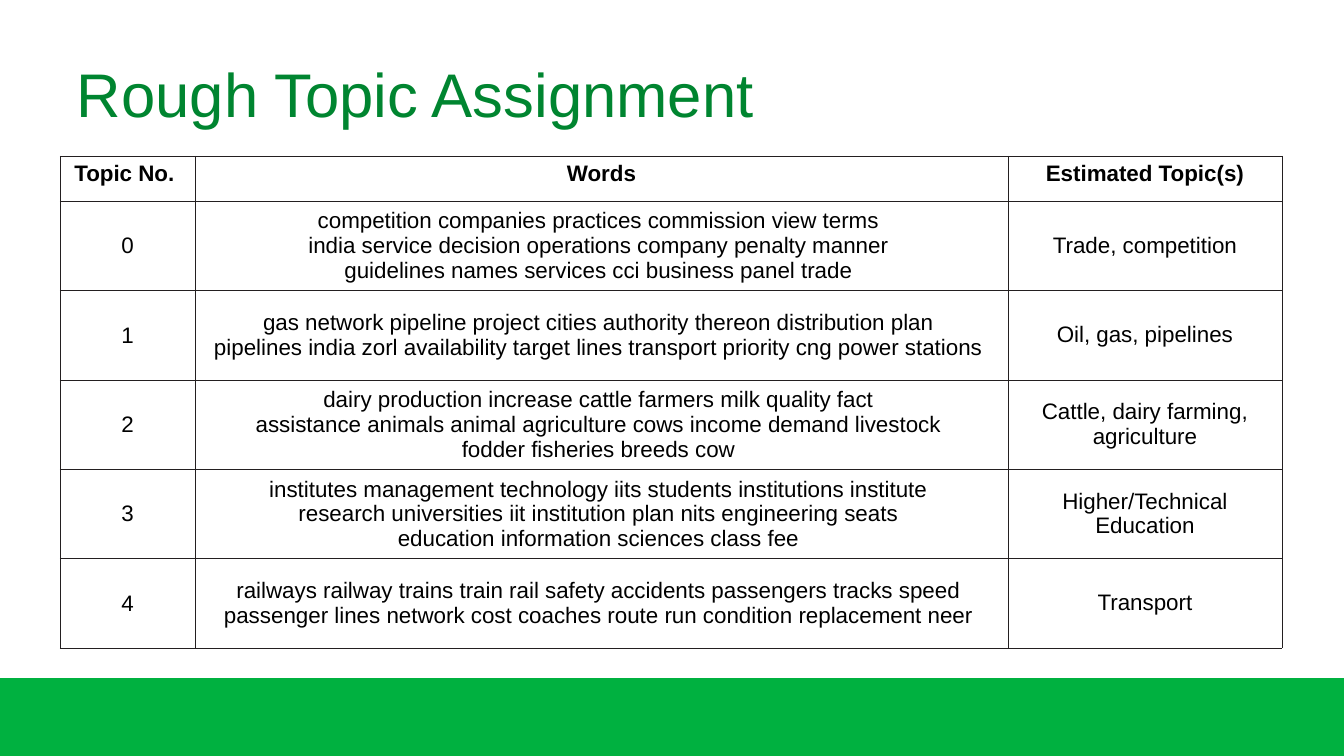
from lxml.etree import SubElement
from pptx import Presentation
from pptx.dml.color import RGBColor
from pptx.enum.shapes import MSO_SHAPE
from pptx.enum.text import MSO_ANCHOR, PP_ALIGN
from pptx.oxml.ns import qn
from pptx.util import Pt

SCALE = 914400 / 100.8
HEADS = ["Topic No. ", "Words", "Estimated Topic(s)"]
TOPICS = [
    (["competition companies practices commission view terms ",
      "india service decision operations company penalty manner ",
      "guidelines names services cci business panel trade "],
     "Trade, competition"),
    (["gas network pipeline project cities authority thereon distribution plan ",
      "pipelines india zorl availability target lines transport priority cng power stations "],
     "Oil, gas, pipelines"),
    (["dairy production increase cattle farmers milk quality fact ",
      "assistance animals animal agriculture cows income demand livestock ",
      "fodder fisheries breeds cow "],
     "Cattle, dairy farming, agriculture"),
    (["institutes management technology iits students institutions institute ",
      "research universities iit institution plan nits engineering seats ",
      "education information sciences class fee "],
     "Higher/Technical Education"),
    (["railways railway trains train rail safety accidents passengers tracks speed ",
      "passenger lines network cost coaches route run condition replacement neer "],
     "Transport"),
]


def px(count):
    return round(count * SCALE)


def box(*sides):
    return [px(side) for side in sides]


def color(code):
    return RGBColor.from_string(code)


def add_run(para, text, size, code, bold=False):
    run = para.add_run()
    run.text = text
    run.font.name = "Arial"
    run.font.size = Pt(size)
    run.font.bold = bold
    run.font.color.rgb = color(code)


def add_band(slide):
    band = slide.shapes.add_shape(MSO_SHAPE.RECTANGLE, *box(0, 678, 1344, 78))
    band.shadow.inherit = False
    band.fill.solid()
    band.fill.fore_color.rgb = color("00B140")
    band.line.fill.background()


def add_title(slide, text):
    frame = slide.shapes.add_textbox(*box(67, 30, 1210, 126)).text_frame
    frame.word_wrap = True
    frame.vertical_anchor = MSO_ANCHOR.MIDDLE
    add_run(frame.paragraphs[0], text, 44, "008530")


def add_edges(cell):
    props = cell._tc.get_or_add_tcPr()
    for side in ("a:lnL", "a:lnR", "a:lnT", "a:lnB"):
        line = SubElement(props, qn(side), w=str(Pt(0.25)))
        fill = SubElement(line, qn("a:solidFill"))
        SubElement(fill, qn("a:srgbClr"), val="231F20")


def fill_cell(cell, lines, bold=False, tight=False):
    add_edges(cell)
    cell.fill.background()
    if not bold:
        cell.vertical_anchor = MSO_ANCHOR.MIDDLE
    if tight:
        cell.margin_left = cell.margin_right = cell.margin_top = px(1)
        cell.margin_bottom = 0
    frame = cell.text_frame
    for index, text in enumerate(lines):
        para = frame.add_paragraph() if index else frame.paragraphs[0]
        para.alignment = PP_ALIGN.CENTER
        add_run(para, text, 16, "000000", bold)


def add_topics(slide):
    count = len(TOPICS)
    table = slide.shapes.add_table(count + 1, len(HEADS), *box(60, 156, 1222, 492)).table
    table.first_row = table.horz_banding = False
    for column, width in zip(table.columns, (135, 813, 274)):
        column.width = px(width)
    for row in table.rows:
        row.height = px(447) // count
    table.rows[0].height = px(45)
    for col, head in enumerate(HEADS):
        fill_cell(table.cell(0, col), [head], bold=True)
    for index, (words, topic) in enumerate(TOPICS):
        row = index + 1
        fill_cell(table.cell(row, 0), [str(index)], tight=index > 0)
        fill_cell(table.cell(row, 1), words, tight=True)
        fill_cell(table.cell(row, 2), [topic])


def main():
    deck = Presentation()
    deck.slide_width, deck.slide_height = box(1344, 756)
    slide = deck.slides.add_slide(deck.slide_layouts[6])
    add_band(slide)
    add_title(slide, "Rough Topic Assignment")
    add_topics(slide)
    deck.save("out.pptx")


if __name__ == "__main__":
    main()
